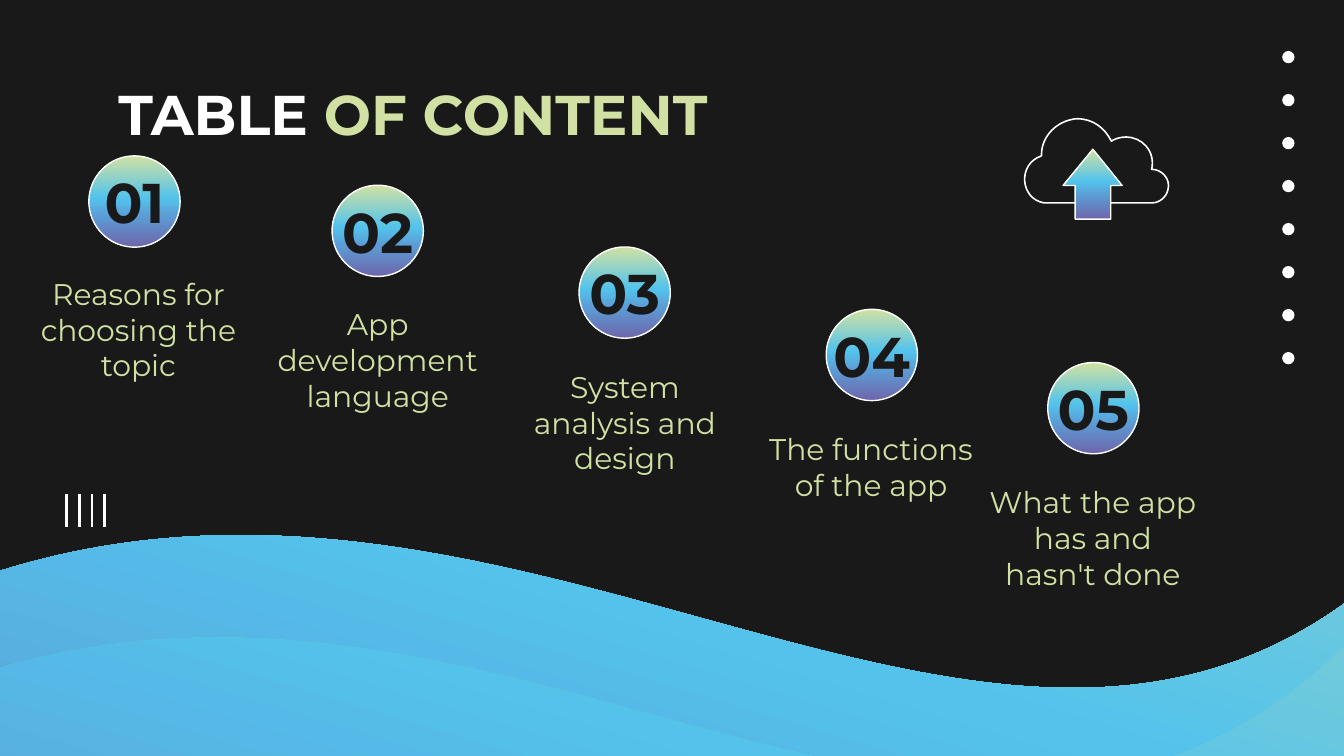
import math
from lxml import etree
from pptx import Presentation
from pptx.dml.color import RGBColor
from pptx.enum import shapes, text
from pptx.oxml import ns
from pptx.util import Pt

FONT = "Montserrat"
DARK, WHITE, GREEN = "191919", "FFFFFF", "D0E1A3"
STOPS = [(0, GREEN), (46, "53C3EC"), (66, "5C9CD5"), (100, "6E66AB")]
TILT = 16.7

BACK_WAVE = [
    (890.6, 223.9),
    (844.6, 231.8, 782.6, 270, 739.4, 308.2),
    (517.7, 501.1, 233.3, 153.4, -94.3, 348.5),
    (-151.2, 538.6),
    (124.6, 620.6),
    (200.2, 571.7, 537.8, 540.7, 602.6, 545.8),
    (902.2, 568.8, 920.2, 605.5, 986.4, 609.8),
]
FRONT_WAVE = [
    (861.8, 264.2),
    (816.5, 273.6, 755.3, 314.6, 712.1, 354.2),
    (489.6, 557.3, 214.6, 202.3, -111.6, 409),
    (-170.6, 606.2),
    (100.1, 687.6),
    (175, 635.8, 509, 598.3, 573.1, 602.6),
    (868.3, 621.4, 885.6, 659.5, 950.4, 663.1),
]
CLOUD = [
    (577.1, 63.6),
    (576, 63.6, 574.6, 63.8, 573.8, 64.1),
    (564.5, 66.2, 558, 74.2, 558, 82.8),
    (558, 83.5),
    (545, 87.8, 546.5, 106.6, 559.4, 108.7),
    (617, 108.7),
    (622.1, 108.7, 626, 104.4, 626, 99.4),
    (626, 95, 622.1, 90.7, 617, 90.7),
    (619.2, 80.6, 611.3, 73.4, 603.4, 73.4),
    (600.5, 73.4, 597.6, 74.2, 595.4, 75.6),
    (591.8, 68.4, 585.4, 63.6, 577.1, 63.6),
]
ARROW = [(585.5, 79.9), (569.5, 99.4), (576, 99.4), (576, 117.4),
         (595.1, 117.4), (595.1, 99.4), (601.2, 99.4)]

TOPICS = [
    ("01", 47.6, 83.5, 9.4, 140.4, 69, "Reasons for choosing the topic"),
    ("02", 177.9, 99.2, 137.6, 156.8, 108, "App development language"),
    ("03", 310.2, 132.3, 270, 190.2, 108, "System analysis and design"),
    ("04", 442.6, 165.7, 401.9, 223.5, 108, "The functions of the app"),
    ("05", 561.3, 194.2, 520.7, 252, 108, "What the app has and hasn't done"),
]


def color(value):
    return RGBColor.from_string(value)


def fill_gradient(shape):
    shape.fill.gradient()
    shape.fill.gradient_angle = 270
    stops = shape.element.spPr.find(".//" + ns.qn("a:gsLst"))
    for stop in list(stops):
        stops.remove(stop)
    for position, value in STOPS:
        stop = etree.SubElement(stops, ns.qn("a:gs"), pos=str(position * 1000))
        etree.SubElement(stop, ns.qn("a:srgbClr"), val=value)


def style(shape, fill=None, line=None, width=0.75):
    shape.shadow.inherit = False
    if fill == "gradient":
        fill_gradient(shape)
    elif fill:
        shape.fill.solid()
        shape.fill.fore_color.rgb = color(fill)
    else:
        shape.fill.background()
    if line:
        shape.line.color.rgb = color(line)
        shape.line.width = Pt(width)
    else:
        shape.line.fill.background()


def add_circle(parent, left, top, size, **look):
    circle = parent.add_shape(shapes.MSO_SHAPE.OVAL, Pt(left), Pt(top), Pt(size), Pt(size))
    style(circle, **look)


def turn(points, center, degrees):
    cos, sin = math.cos(math.radians(degrees)), math.sin(math.radians(degrees))
    cx, cy = center
    return [(cx + (x - cx) * cos - (y - cy) * sin,
             cy + (x - cx) * sin + (y - cy) * cos) for x, y in points]


def bend(shape, segments):
    edges = iter(shape.element.spPr.findall(".//" + ns.qn("a:lnTo")))
    for segment in segments:
        edge = next(edges)
        if len(segment) == 6:
            edge.tag = ns.qn("a:cubicBezTo")
            for extra in (next(edges), next(edges)):
                edge.append(extra[0])
                extra.getparent().remove(extra)


def add_outline(parent, outline, center=(0, 0), tilt=0, **look):
    points = [pair for part in outline for pair in zip(part[::2], part[1::2])]
    corners = [(Pt(x), Pt(y)) for x, y in turn(points, center, -tilt)]
    builder = parent.build_freeform(*corners[0], scale=1.0)
    builder.add_line_segments(corners[1:], close=True)
    shape = builder.convert_to_shape()
    bend(shape, outline[1:])
    shape.rotation = tilt
    style(shape, **look)


def add_bar(parent, x, top, bottom):
    bar = parent.add_connector(shapes.MSO_CONNECTOR.STRAIGHT, Pt(x), Pt(top), Pt(x), Pt(bottom))
    bar.line.color.rgb = color(WHITE)
    bar.line.width = Pt(1.5)
    etree.SubElement(bar.element.spPr, ns.qn("a:effectLst"))


def add_text(parent, spans, left, top, width, height, size=16, bold=False,
             align=text.PP_ALIGN.CENTER, anchor=text.MSO_ANCHOR.TOP):
    box = parent.add_textbox(Pt(left), Pt(top), Pt(width), Pt(height))
    frame = box.text_frame
    frame.word_wrap = True
    frame.vertical_anchor = anchor
    frame.margin_left = frame.margin_right = Pt(7.2)
    frame.margin_top = frame.margin_bottom = Pt(7.2)
    para = frame.paragraphs[0]
    para.alignment = align
    for words, value in spans:
        span = para.add_run()
        span.text = words
        span.font.name = FONT
        span.font.size = Pt(size)
        span.font.bold = bold
        span.font.color.rgb = color(value)


def add_topic(parent, number, left, top, label_left, label_top, number_width, label):
    size = 48.9
    add_circle(parent, left, top, size, fill="gradient", line=WHITE)
    add_text(parent, [(number, DARK)], left + (size - number_width) / 2, top + 2.8,
             number_width, 43.2, size=30, bold=True, anchor=text.MSO_ANCHOR.MIDDLE)
    add_text(parent, [(label, GREEN)], label_left, label_top, 129.6, 36)


def main():
    deck = Presentation()
    deck.slide_width, deck.slide_height = Pt(720), Pt(405)
    page = deck.slides.add_slide(deck.slide_layouts[6])
    page.background.fill.solid()
    page.background.fill.fore_color.rgb = color(DARK)

    add_outline(page.shapes, BACK_WAVE, (466.2, 410.4), TILT, fill="gradient")
    add_outline(page.shapes, FRONT_WAVE, (440.6, 464), TILT, fill="gradient")

    dots = page.shapes.add_group_shape().shapes
    for row in range(8):
        add_circle(dots, 686.9, 27.3 + 23.04 * row, 6.6, fill=WHITE)
    bars = page.shapes.add_group_shape().shapes
    for column in range(4):
        add_bar(bars, 35.5 + 6.9 * column, 264.7, 282.2)

    add_text(page.shapes, [("TABLE ", WHITE), ("OF CONTENT", GREEN)],
             56.3, 35.3, 576, 56.9, size=30, bold=True, align=text.PP_ALIGN.LEFT)
    upload = page.shapes.add_group_shape().shapes
    add_outline(upload, CLOUD, line=WHITE, width=0.85)
    add_outline(upload, ARROW, fill="gradient", line=WHITE)
    for topic in TOPICS:
        add_topic(page.shapes, *topic)
    deck.save("out.pptx")


main()
